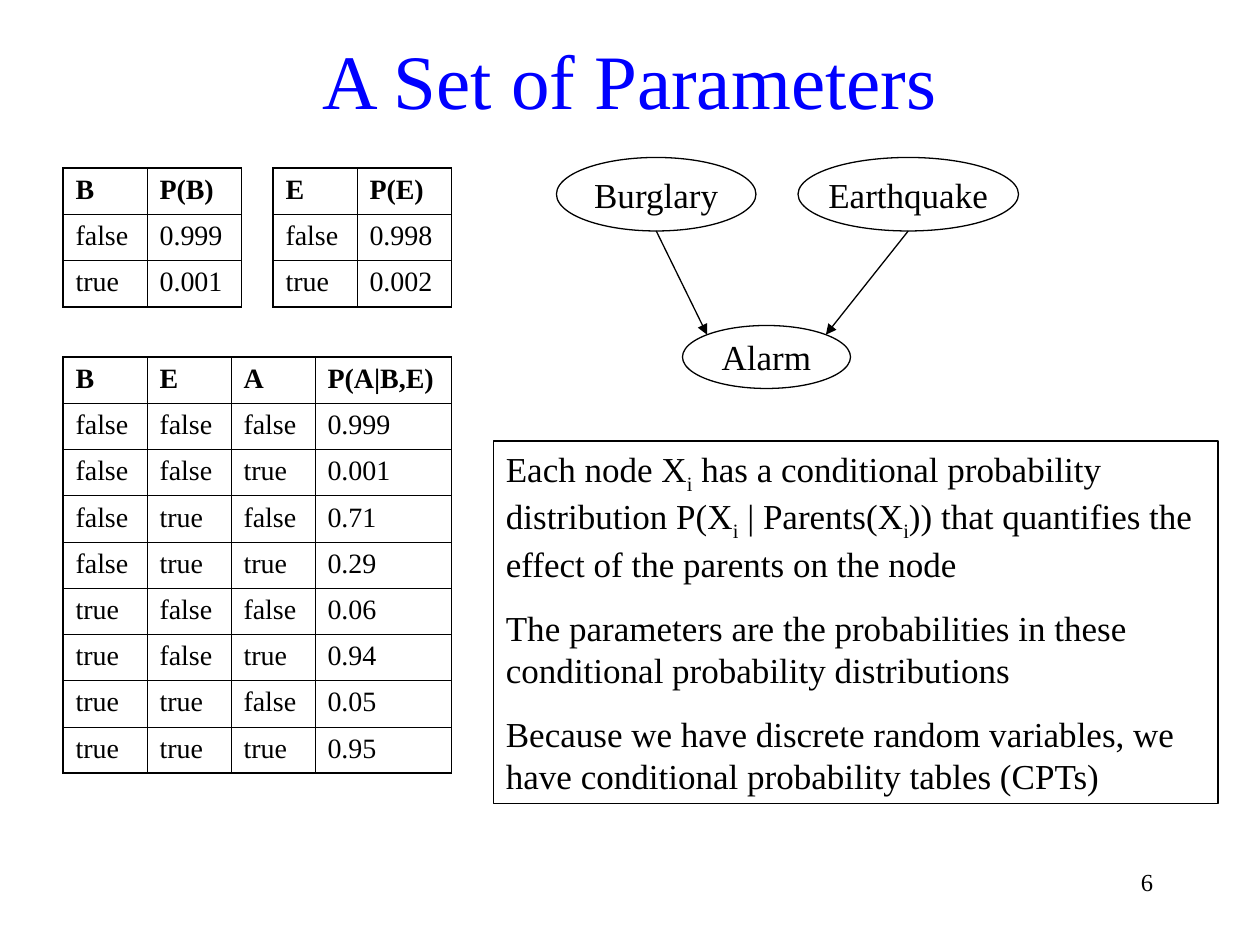
from dataclasses import dataclass
from math import sqrt
from lxml.etree import SubElement
from pptx import Presentation
from pptx.dml.color import RGBColor
from pptx.enum.shapes import MSO_CONNECTOR, MSO_SHAPE
from pptx.enum.text import MSO_ANCHOR, MSO_AUTO_SIZE, PP_ALIGN
from pptx.oxml import parse_xml
from pptx.oxml.ns import nsdecls, qn
from pptx.util import Pt


@dataclass(frozen=True)
class Theme:
    font: str = "Times New Roman"
    ink: str = "000000"
    accent: str = "0000FF"
    title: float = 44
    body: float = 20
    cell: float = 16
    number: float = 14
    line: float = 0.74
    outer: float = 1.08
    inner: float = 0.45


THEME = Theme()


def style(p, size, color=THEME.ink, bold=False, align=PP_ALIGN.LEFT, before=0):
    p.alignment = align
    p.space_before = Pt(before)
    for r in p.runs:
        r.font.name = THEME.font
        r.font.size = Pt(size)
        r.font.bold = bold
        r.font.color.rgb = RGBColor.from_string(color)


def outline(shape):
    shape.line.color.rgb = RGBColor.from_string(THEME.ink)
    shape.line.width = Pt(THEME.line)


def add_box(s, kind, left, top, width, height):
    sp = s.shapes.add_shape(kind, Pt(left), Pt(top), Pt(width), Pt(height))
    sp.shadow.inherit = False
    sp.fill.background()
    outline(sp)
    return sp


def add_title(s, text, left, top, width, height):
    sp = s.shapes.title
    sp.left, sp.top, sp.width, sp.height = Pt(left), Pt(top), Pt(width), Pt(height)
    tf = sp.text_frame
    tf.text = text
    tf.vertical_anchor = MSO_ANCHOR.MIDDLE
    style(tf.paragraphs[0], THEME.title, THEME.accent, align=PP_ALIGN.CENTER)


def add_number(s, text, left, top, width, height):
    sp = s.shapes.add_textbox(Pt(left), Pt(top), Pt(width), Pt(height))
    tf = sp.text_frame
    tf.word_wrap = True
    tf.text = text
    style(tf.paragraphs[0], THEME.number, align=PP_ALIGN.RIGHT)


def set_borders(cell, edges):
    tc_pr = cell._tc.get_or_add_tcPr()
    for i, (side, is_outer) in enumerate(edges.items()):
        width = Pt(THEME.outer if is_outer else THEME.inner)
        tc_pr.insert(i, parse_xml(
            f'<a:ln{side} {nsdecls("a")} w="{width}"><a:solidFill>'
            f'<a:srgbClr val="{THEME.ink}"/></a:solidFill></a:ln{side}>'))


def add_cpt(s, left, top, widths, rows, row_height=26.4):
    n_rows, n_cols = len(rows), len(widths)
    frame = s.shapes.add_table(n_rows, n_cols, Pt(left), Pt(top),
                               Pt(sum(widths)), Pt(n_rows * row_height))
    table = frame.table
    table.first_row = table.horz_banding = False
    for column, width in zip(table.columns, widths):
        column.width = Pt(width)
    for i, row in enumerate(rows):
        table.rows[i].height = Pt(row_height)
        for j, text in enumerate(row):
            cell = table.cell(i, j)
            cell.text = text
            cell.fill.background()
            style(cell.text_frame.paragraphs[0], THEME.cell, bold=i == 0, before=4)
            set_borders(cell, {"L": j == 0, "R": j == n_cols - 1,
                               "T": i == 0, "B": i == n_rows - 1})


def add_node(s, text, left, top, width, height):
    sp = add_box(s, MSO_SHAPE.OVAL, left, top, width, height)
    tf = sp.text_frame
    tf.word_wrap = False
    tf.vertical_anchor = MSO_ANCHOR.MIDDLE
    tf.text = text
    style(tf.paragraphs[0], THEME.body, align=PP_ALIGN.CENTER)


def add_arrow(s, x1, y1, x2, y2):
    arrow = s.shapes.add_connector(MSO_CONNECTOR.STRAIGHT, Pt(x1), Pt(y1), Pt(x2), Pt(y2))
    outline(arrow)
    SubElement(arrow.line._get_or_add_ln(), qn("a:tailEnd"), type="triangle")
    SubElement(arrow._element.spPr, qn("a:effectLst"))


def add_network(s, left, top):
    child_x, child_y, child_w, child_h = left + 72, top + 96, 96, 36
    add_node(s, "Alarm", child_x, child_y, child_w, child_h)
    center_x, center_y = child_x + child_w / 2, child_y + child_h / 2
    height = 42
    parents = [("Burglary", 0, 114, -1), ("Earthquake", 138, 126, 1)]
    for text, x, width, side in parents:
        add_node(s, text, left + x, top, width, height)
        add_arrow(s, left + x + width / 2, top + height,
                  center_x + side * child_w / sqrt(8), center_y - child_h / sqrt(8))


def add_notes_box(s, left, top, width, height, paragraphs):
    sp = add_box(s, MSO_SHAPE.RECTANGLE, left, top, width, height)
    tf = sp.text_frame
    tf.word_wrap = True
    tf.auto_size = MSO_AUTO_SIZE.SHAPE_TO_FIT_TEXT
    tf.vertical_anchor = MSO_ANCHOR.TOP
    for i, parts in enumerate(paragraphs):
        p = tf.add_paragraph() if i else tf.paragraphs[0]
        for k, text in enumerate(parts):
            r = p.add_run()
            r.text = text
            if k % 2:
                r.font._element.set("baseline", "-25000")
        style(p, THEME.body, before=12.5)


def prior(name, p_false, p_true):
    return [(name, f"P({name})"), ("false", p_false), ("true", p_true)]


ALARM_CPT = [
    ("B", "E", "A", "P(A|B,E)"),
    ("false", "false", "false", "0.999"),
    ("false", "false", "true", "0.001"),
    ("false", "true", "false", "0.71"),
    ("false", "true", "true", "0.29"),
    ("true", "false", "false", "0.06"),
    ("true", "false", "true", "0.94"),
    ("true", "true", "false", "0.05"),
    ("true", "true", "true", "0.95"),
]
STATEMENTS = [
    ["Each node X", "i", " has a conditional probability distribution P(X", "i",
     " | Parents(X", "i", ")) that quantifies the effect of the parents on the node"],
    ["The parameters are the probabilities in these conditional probability distributions"],
    ["Because we have discrete random variables, we have conditional probability tables (CPTs)"],
]

prs = Presentation()
prs.slide_width, prs.slide_height = Pt(720), Pt(540)
s = prs.slides.add_slide(prs.slide_layouts[5])
add_number(s, "6", 588, 492, 78, 36)
add_title(s, "A Set of Parameters", 54, 12, 612, 66)
add_network(s, 318, 90)
add_cpt(s, 36, 96, [48, 54], prior("B", "0.999", "0.001"))
add_cpt(s, 36, 204, [48, 48, 48, 78], ALARM_CPT)
add_cpt(s, 156, 96, [48, 54], prior("E", "0.998", "0.002"))
add_notes_box(s, 282, 252, 414, 207, STATEMENTS)
prs.save("out.pptx")
